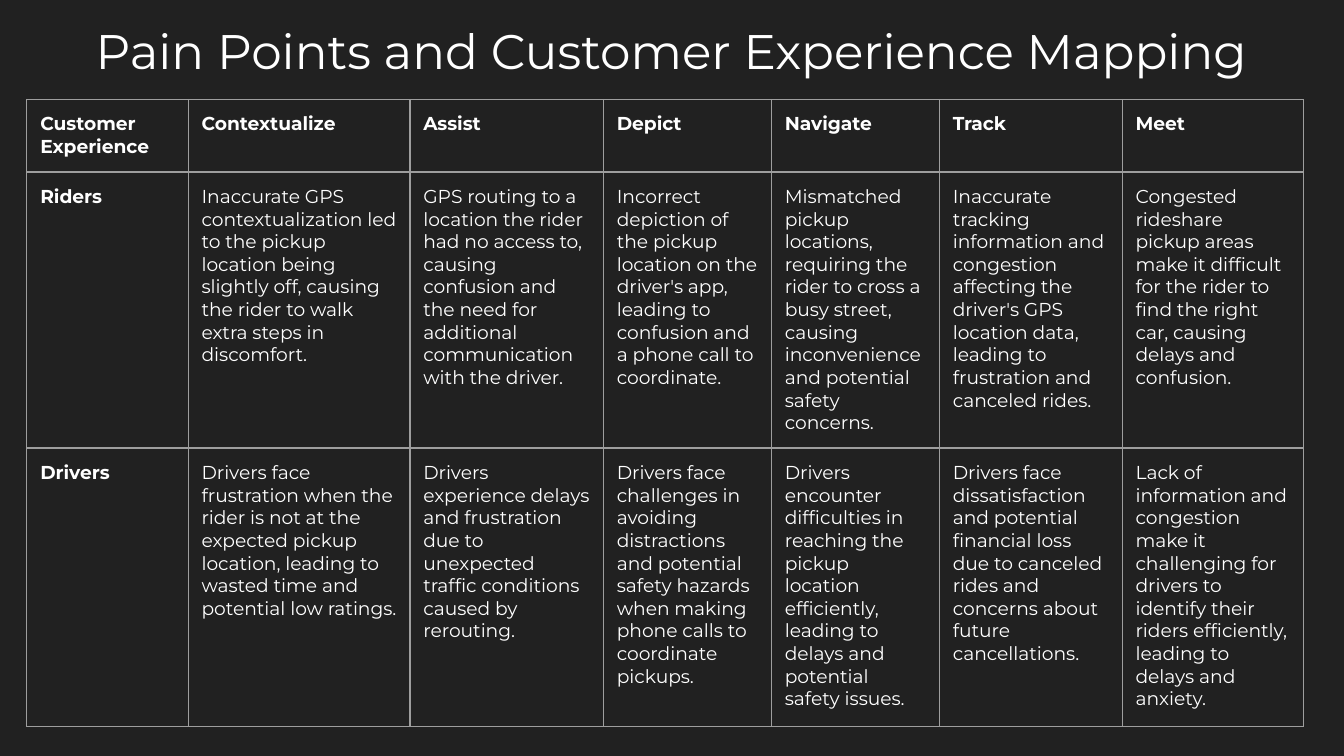
"""Build a slide with a table of customer pain points for riders and drivers."""
from lxml import etree
from pptx import Presentation
from pptx.dml.color import RGBColor
from pptx.enum.text import MSO_ANCHOR, MSO_AUTO_SIZE, PP_ALIGN
from pptx.oxml.ns import qn
from pptx.util import Inches, Pt

BACKGROUND = RGBColor(0x21, 0x21, 0x21)
WHITE = RGBColor(0xFF, 0xFF, 0xFF)
BORDER = RGBColor(0x9E, 0x9E, 0x9E)
FONT = "Montserrat"
INSET = Inches(0.1)

COLUMN_WIDTHS = [1.2, 1.65, 1.44, 1.25, 1.25, 1.36, 1.35]
ROW_HEIGHTS = [0.54, 2.05, 2.07]
ROWS = [
    ["Customer Experience", "Contextualize", "Assist", "Depict", "Navigate", "Track", "Meet"],
    [
        "Riders",
        "Inaccurate GPS contextualization led to the pickup location being slightly off, "
        "causing the rider to walk extra steps in discomfort.",
        "GPS routing to a location the rider had no access to, causing confusion and "
        "the need for additional communication with the driver.",
        "Incorrect depiction of the pickup location on the driver's app, leading to "
        "confusion and a phone call to coordinate.",
        "Mismatched pickup locations, requiring the rider to cross a busy street, "
        "causing inconvenience and potential safety concerns.",
        "Inaccurate tracking information and congestion affecting the driver's GPS "
        "location data, leading to frustration and canceled rides.",
        "Congested rideshare pickup areas make it difficult for the rider to find the "
        "right car, causing delays and confusion.",
    ],
    [
        "Drivers",
        "Drivers face frustration when the rider is not at the expected pickup location, "
        "leading to wasted time and potential low ratings.",
        "Drivers experience delays and frustration due to unexpected traffic conditions "
        "caused by rerouting.",
        "Drivers face challenges in avoiding distractions and potential safety hazards "
        "when making phone calls to coordinate pickups.",
        "Drivers encounter difficulties in reaching the pickup location efficiently, "
        "leading to delays and potential safety issues.",
        "Drivers face dissatisfaction and potential financial loss due to canceled rides "
        "and concerns about future cancellations.",
        "Lack of information and congestion make it challenging for drivers to identify "
        "their riders efficiently, leading to delays and anxiety.",
    ],
]


def add_text(para, text, size, bold=False):
    span = para.add_run()
    span.text = text
    span.font.name = FONT
    span.font.size = Pt(size)
    span.font.bold = bold
    span.font.color.rgb = WHITE


def add_borders(cell):
    properties = cell._tc.get_or_add_tcPr()
    for side in ("lnL", "lnR", "lnT", "lnB"):
        line = etree.SubElement(properties, qn(f"a:{side}"), w=str(Pt(0.75)))
        fill = etree.SubElement(line, qn("a:solidFill"))
        etree.SubElement(fill, qn("a:srgbClr"), val=str(BORDER))


deck = Presentation()
deck.slide_width = Inches(10)
deck.slide_height = Inches(10 * 9 / 16)
page = deck.slides.add_slide(deck.slide_layouts[5])
page.background.fill.solid()
page.background.fill.fore_color.rgb = BACKGROUND

title = page.shapes.title
title.left, title.top = Inches(0.25), Inches(0.12)
title.width, title.height = Inches(9.5), Inches(0.51)
frame = title.text_frame
frame.word_wrap = True
frame.auto_size = MSO_AUTO_SIZE.NONE
frame.vertical_anchor = MSO_ANCHOR.MIDDLE
frame.margin_left = frame.margin_right = frame.margin_top = frame.margin_bottom = INSET
title_para = frame.paragraphs[0]
title_para.alignment = PP_ALIGN.CENTER
add_text(title_para, "Pain Points and Customer Experience Mapping", 26)

table = page.shapes.add_table(
    len(ROWS), len(COLUMN_WIDTHS),
    Inches(0.2), Inches(0.74), Inches(sum(COLUMN_WIDTHS)), Inches(sum(ROW_HEIGHTS)),
).table
table.first_row = False
table.horz_banding = False
for column, width in zip(table.columns, COLUMN_WIDTHS):
    column.width = Inches(width)
for row, height in zip(table.rows, ROW_HEIGHTS):
    row.height = Inches(height)

for row_index, texts in enumerate(ROWS):
    for column_index, text in enumerate(texts):
        cell = table.cell(row_index, column_index)
        cell.margin_left = cell.margin_right = INSET
        cell.margin_top = cell.margin_bottom = INSET
        add_borders(cell)
        cell.fill.background()
        is_heading = row_index == 0 or column_index == 0
        add_text(cell.text_frame.paragraphs[0], text, 10, is_heading)

deck.save("out.pptx")
